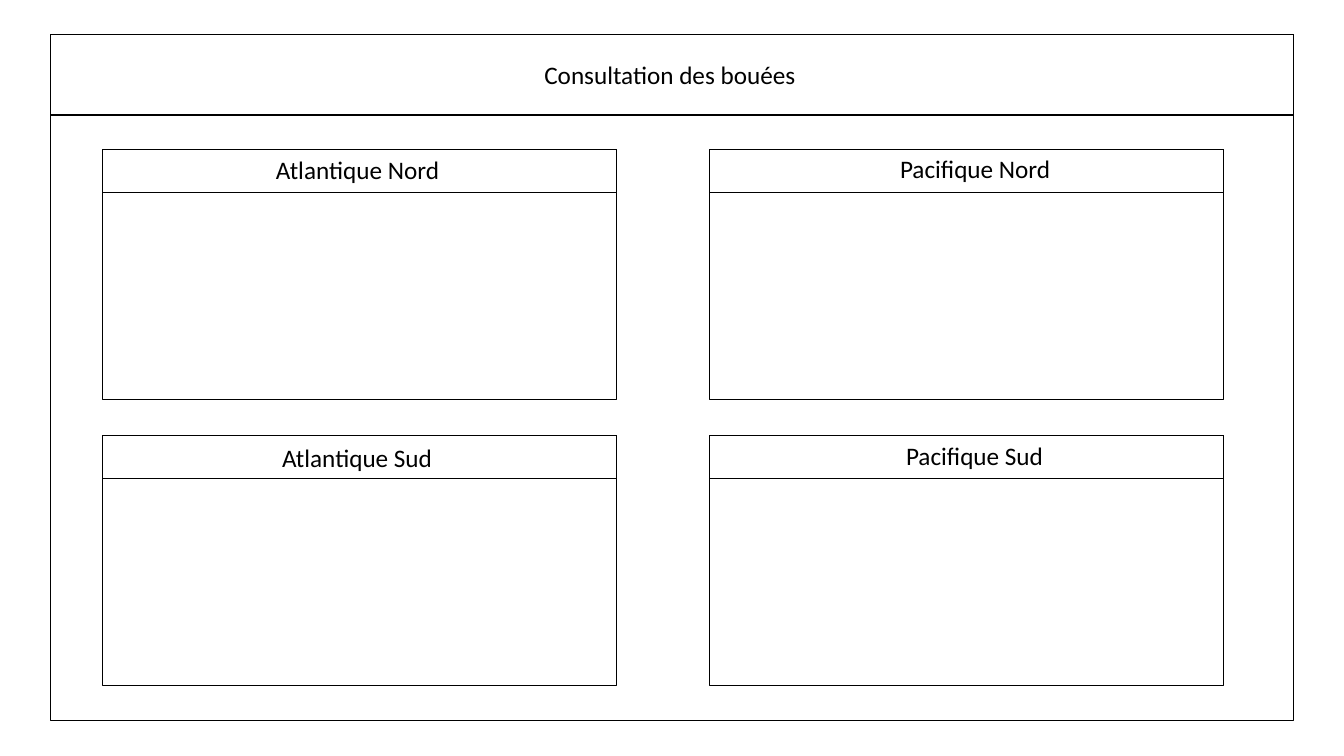
"""Build the buoy consultation screen: a titled frame with four ocean panels."""
from pptx import Presentation
from pptx.dml.color import RGBColor
from pptx.enum.shapes import MSO_SHAPE
from pptx.enum.text import MSO_ANCHOR, MSO_AUTO_SIZE, PP_ALIGN
from pptx.util import Pt

COLORS = {"ink": "000000"}
FONT = "Calibri"
TITLE = "Consultation des bouées"
PANELS = [
    {"name": "Atlantique Nord", "column": 0, "row": 0, "label": (116.6, 0, 133.9)},
    {"name": "Pacifique Nord", "column": 1, "row": 0, "label": (128.9, -0.7, 133.9)},
    {"name": "Atlantique Sud", "column": 0, "row": 1, "label": (121, 1.5, 125.3)},
    {"name": "Pacifique Sud", "column": 1, "row": 1, "label": (133.2, 0, 125.3)},
]
FRAME = (36, 24.5, 888, 490.3)
TITLE_AREA = (381.6, 38.9, 196.6, 29.1)
HEADER_HEIGHT = 57.6
PANEL_LEFT, PANEL_TOP = 73.4, 106.6
PANEL_WIDTH, PANEL_HEIGHT = 367.2, 178.6
COLUMN_STEP, ROW_STEP = 433.5, 204.4
BAND_HEIGHT, LABEL_HEIGHT = 31, 29.1


def add_outline(page, left, top, width, height):
    box = page.shapes.add_shape(
        MSO_SHAPE.RECTANGLE, Pt(left), Pt(top), Pt(width), Pt(height))
    box.shadow.inherit = False
    box.fill.background()
    box.line.color.rgb = RGBColor.from_string(COLORS["ink"])
    box.line.width = Pt(1)


def add_headed_box(page, left, top, width, height, band_height):
    add_outline(page, left, top, width, height)
    add_outline(page, left, top, width, band_height)


def write(box, text):
    frame = box.text_frame
    frame.text = text
    frame.word_wrap = False
    frame.auto_size = MSO_AUTO_SIZE.NONE
    frame.vertical_anchor = MSO_ANCHOR.TOP
    para = frame.paragraphs[0]
    para.alignment = PP_ALIGN.LEFT
    para.line_spacing = 1.0
    para.space_before = Pt(0)
    para.font.name = FONT
    para.font.size = Pt(18)
    para.font.color.rgb = RGBColor.from_string(COLORS["ink"])


def main():
    deck = Presentation()
    deck.slide_width, deck.slide_height = Pt(960), Pt(540)
    page = deck.slides.add_slide(deck.slide_layouts[5])

    add_headed_box(page, *FRAME, HEADER_HEIGHT)
    title = page.shapes.title
    title.left, title.top, title.width, title.height = map(Pt, TITLE_AREA)
    write(title, TITLE)

    for panel in PANELS:
        left = PANEL_LEFT + panel["column"] * COLUMN_STEP
        top = PANEL_TOP + panel["row"] * ROW_STEP
        add_headed_box(page, left, top, PANEL_WIDTH, PANEL_HEIGHT, BAND_HEIGHT)
        shift_x, shift_y, width = panel["label"]
        label = page.shapes.add_textbox(
            Pt(left + shift_x), Pt(top + shift_y), Pt(width), Pt(LABEL_HEIGHT))
        write(label, panel["name"])

    deck.save("out.pptx")


if __name__ == "__main__":
    main()
